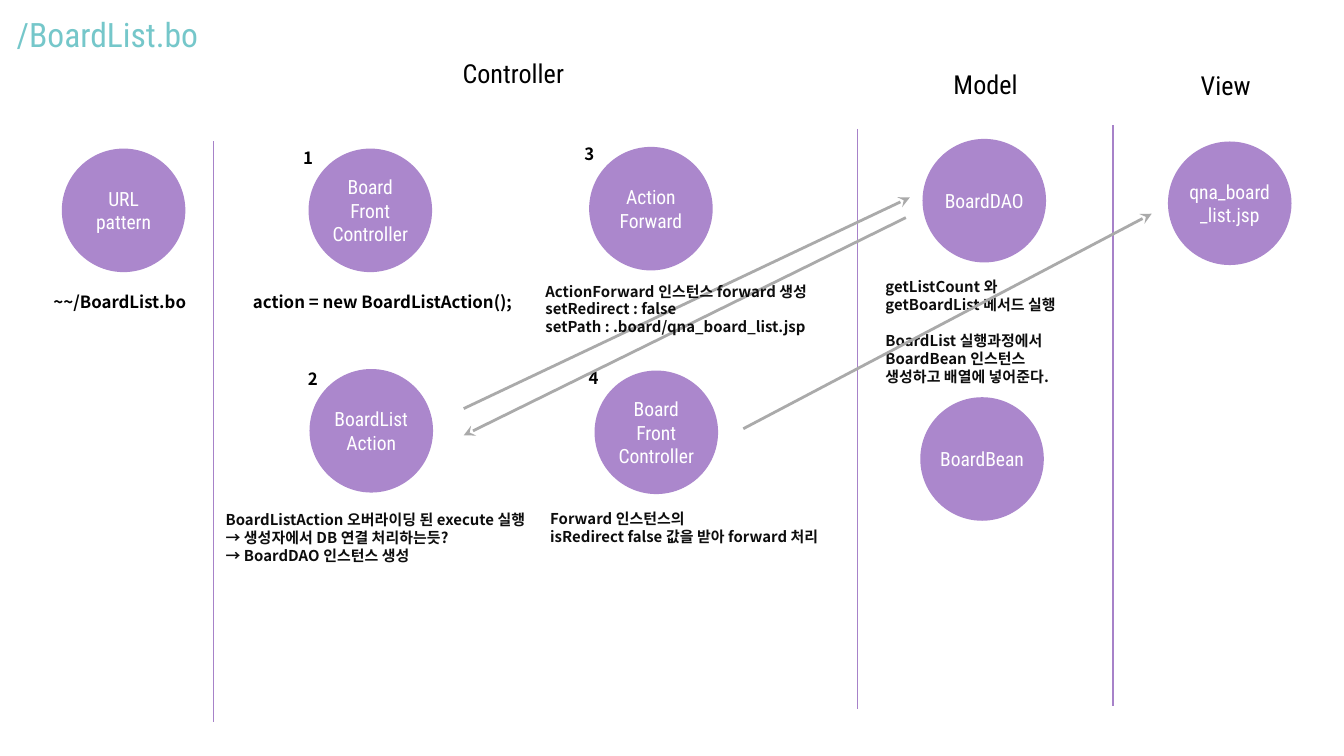
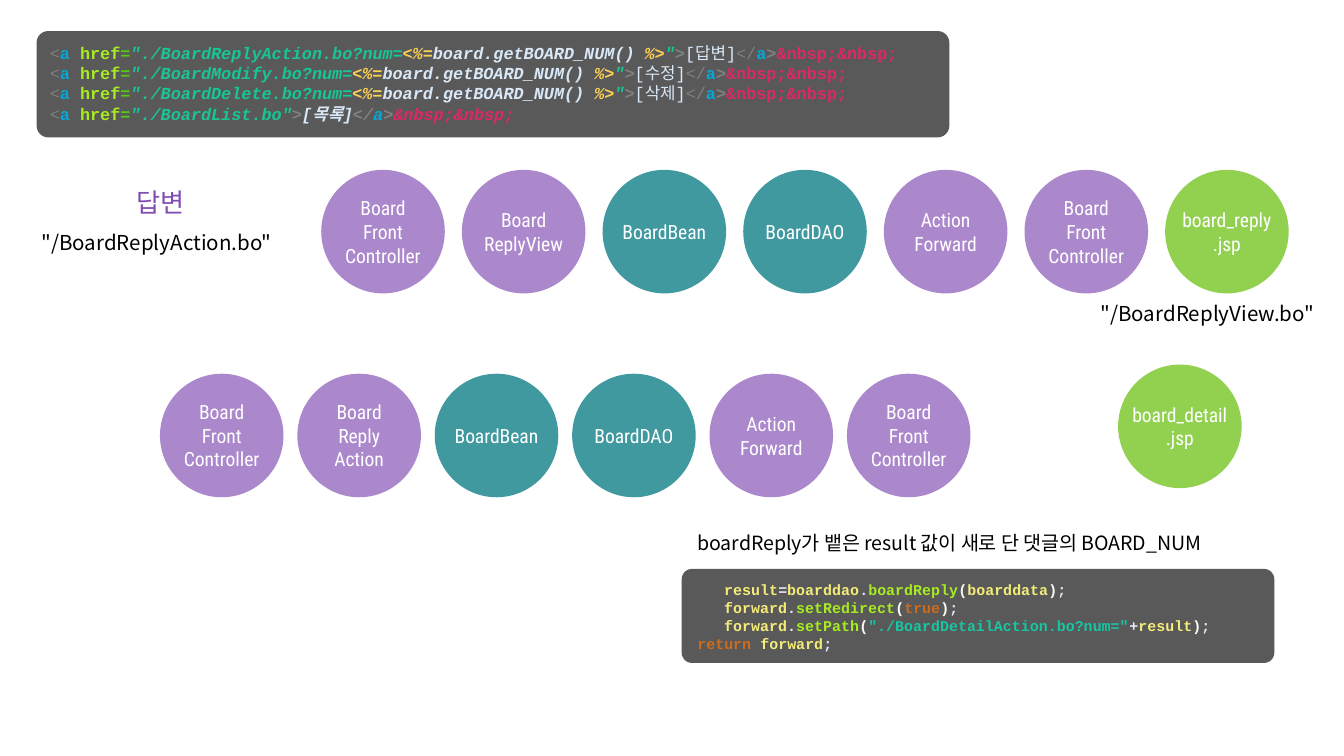
from dataclasses import dataclass

from lxml import etree
from pptx import Presentation
from pptx.dml.color import RGBColor
from pptx.enum import shapes, text
from pptx.oxml.ns import qn
from pptx.util import Pt


@dataclass(frozen=True)
class Theme:
    purple: str = "AB87CC"
    teal: str = "4199A0"
    green: str = "92D050"
    divider: str = "A782C9"
    arrow: str = "AAAAAA"
    panel: str = "595959"
    title: str = "75C7CA"
    reply: str = "814CB2"
    black: str = "000000"
    ink: str = "0D0D0D"
    white: str = "FFFFFF"
    latin: str = "Roboto Condensed"
    korean: str = "Noto Sans CJK KR"
    mono: str = "Courier New"
    title_size: float = 18
    heading_size: float = 14
    address_size: float = 11
    circle_size: float = 10.5
    label_size: float = 9
    note_size: float = 8
    leading: float = 1.2
    diameter: float = 66.2


THEME = Theme()

# Syntax colours: colour, bold, italic
MARKUP = {
    "edge": ("808080", False, False),
    "close": ("808080", True, False),
    "tag": ("03A8D8", True, False),
    "attribute": ("A7EC21", True, False),
    "equals": ("52CA11", True, False),
    "string": ("17C694", True, True),
    "script": ("FBD153", True, True),
    "call": ("D9E8F7", True, True),
    "quote_end": ("808080", True, True),
    "label": ("D9E8F7", False, False),
    "entity": ("DD2867", True, False),
    "tag_italic": ("03A8D8", True, True),
    "entity_italic": ("DD2867", True, True),
}
JAVA = {
    "name": ("F3EC79", True, False),
    "sign": ("E6E6FA", True, False),
    "method": ("A7EC21", True, False),
    "bracket": ("F9FAF4", True, False),
    "keyword": ("CC6C1D", True, False),
    "string": ("17C6A3", True, False),
}

FRONT = "Board\nFront\nController"
FORWARD = "Action\nForward"


def rgb(code):
    return RGBColor.from_string(code)


def format_paragraph(paragraph, size, face, color, bold=False, align=text.PP_ALIGN.LEFT):
    font = paragraph.font
    font.size, font.name, font.bold = Pt(size), face, bold
    font.color.rgb = rgb(color)
    etree.SubElement(font._rPr, qn("a:ea"), typeface=THEME.korean)
    paragraph.alignment = align
    paragraph.line_spacing = Pt(round(size * THEME.leading, 2))


def prepare_frame(frame, anchor=text.MSO_ANCHOR.TOP):
    frame.word_wrap = True
    frame.auto_size = text.MSO_AUTO_SIZE.NONE
    frame.vertical_anchor = anchor
    frame.margin_left = frame.margin_right = Pt(7.2)
    frame.margin_top = frame.margin_bottom = Pt(3.6)


def paragraphs(frame, count):
    return [frame.paragraphs[0]] + [frame.add_paragraph() for _ in range(count - 1)]


def add_title(slide, wording, box, size, face, color):
    title = slide.shapes.title
    title.left, title.top, title.width, title.height = map(Pt, box)
    prepare_frame(title.text_frame)
    title.text_frame.text = wording
    format_paragraph(title.text_frame.paragraphs[0], size, face, color,
                     align=text.PP_ALIGN.CENTER)


def add_text(slide, lines, box, size, face=THEME.korean, color=THEME.black, bold=False,
             align=text.PP_ALIGN.LEFT, anchor=text.MSO_ANCHOR.TOP):
    frame = slide.shapes.add_textbox(*map(Pt, box)).text_frame
    prepare_frame(frame, anchor)
    written = paragraphs(frame, len(lines))
    for paragraph, line in zip(written, lines):
        paragraph.text = line
        format_paragraph(paragraph, size, face, color, bold, align)
    return written


def add_heading(slide, wording, center, top):
    add_text(slide, [wording], (center - 55, top, 110, 24.5), THEME.heading_size,
             THEME.latin, align=text.PP_ALIGN.CENTER)


def add_label(slide, wording, left, top, width):
    add_text(slide, [wording], (left, top, width, 23.8), THEME.label_size, bold=True,
             anchor=text.MSO_ANCHOR.MIDDLE)


def add_note(slide, lines, *box):
    return add_text(slide, lines, box, THEME.note_size, color=THEME.ink, bold=True)


def add_filled(slide, kind, box, color):
    shape = slide.shapes.add_shape(kind, *map(Pt, box))
    shape.shadow.inherit = False
    shape.fill.solid()
    shape.fill.fore_color.rgb = rgb(color)
    shape.line.fill.background()
    return shape


def add_circle(slide, wording, left, top, color=THEME.purple):
    circle = add_filled(slide, shapes.MSO_SHAPE.OVAL,
                        (left, top, THEME.diameter, THEME.diameter), color)
    frame = circle.text_frame
    prepare_frame(frame, text.MSO_ANCHOR.MIDDLE)
    frame.word_wrap = False
    frame.margin_left = frame.margin_right = 0
    lines = wording.split("\n")
    for paragraph, line in zip(paragraphs(frame, len(lines)), lines):
        paragraph.text = line
        format_paragraph(paragraph, THEME.circle_size, THEME.latin, THEME.white,
                         align=text.PP_ALIGN.CENTER)


def add_circle_row(slide, circles, left, top, step):
    for place, (wording, color) in enumerate(circles):
        add_circle(slide, wording, left + place * step, top, color)


def add_line(slide, start, end, color, width, arrow=False):
    line = slide.shapes.add_connector(shapes.MSO_CONNECTOR.STRAIGHT,
                                      *map(Pt, (*start, *end)))
    line.line.color.rgb = rgb(color)
    line.line.width = Pt(width)
    if arrow:
        etree.SubElement(line.line._get_or_add_ln(), qn("a:tailEnd"), type="stealth")
    etree.SubElement(line._element.spPr, qn("a:effectLst"))


def add_code(slide, lines, panel, box, size, styles):
    """Draw a dark panel with code; each line is (indent in characters, tokens)."""
    background = add_filled(slide, shapes.MSO_SHAPE.ROUNDED_RECTANGLE, panel, THEME.panel)
    background.adjustments[0] = 0.11
    frame = slide.shapes.add_textbox(*map(Pt, box)).text_frame
    prepare_frame(frame)
    for paragraph, (indent, tokens) in zip(paragraphs(frame, len(lines)), lines):
        format_paragraph(paragraph, size, THEME.mono, THEME.white)
        paragraph._p.get_or_add_pPr().set("marL", str(Pt(indent * size * 0.6)))
        for style, wording in tokens:
            color, bold, italic = styles[style]
            run = paragraph.add_run()
            run.text = wording
            run.font.color.rgb = rgb(color)
            run.font.bold, run.font.italic = bold, italic


def link_start(address):
    return [("edge", "<"), ("tag", "a "), ("attribute", "href"), ("equals", "="),
            ("string", f'"./{address}')]


def numbered_link(address, label):
    return 0, link_start(f"{address}?num=") + [
        ("script", "<%="), ("call", "board.getBOARD_NUM() "), ("script", "%>"),
        ("string", '"'), ("quote_end", ">"), ("label", f"[{label}]"), ("edge", "</"),
        ("tag", "a"), ("close", ">"), ("entity", "&nbsp;&nbsp;")]


def list_link():
    return 0, link_start('BoardList.bo"') + [
        ("quote_end", ">"), ("call", "[목록]"), ("quote_end", "</"),
        ("tag_italic", "a"), ("quote_end", ">"), ("entity_italic", "&nbsp;&nbsp;")]


def forward_call(method, *arguments):
    return 3, [("name", "forward"), ("sign", "."), ("method", method), ("bracket", "("),
               *arguments, ("bracket", ")"), ("sign", ";")]


def build_list_flow(slide):
    add_title(slide, "/BoardList.bo", (0, 3.6, 115.2, 28.8), THEME.title_size,
              THEME.latin, THEME.title)
    for wording, center, top in (("Controller", 275, 27.4), ("Model", 528, 33.1),
                                 ("View", 656.6, 33.8)):
        add_heading(slide, wording, center, top)
    for x, top in ((114.5, 75.6), (459.4, 69.1), (596.2, 67)):
        add_line(slide, (x, top), (x, top + 311), THEME.divider, 0.75)

    for wording, left, top in (
            ("URL\vpattern", 33.1, 79.6), (FRONT, 165.3, 79.6),
            (FORWARD, 315.6, 78.7), ("BoardDAO", 494.2, 74.4),
            ("qna_board\v_list.jsp", 625.7, 75.8), ("BoardList\vAction", 165.8, 197.7),
            (FRONT, 318.5, 198.5), ("BoardBean", 493, 212.8)):
        add_circle(slide, wording, left, top)

    add_label(slide, "~~/BoardList.bo", 21.6, 149.8, 90.7)
    add_label(slide, "action = new BoardListAction();", 128.4, 149.8, 170)
    for number, left, top in (("1", 155.3, 72.9), ("2", 157.9, 191.3),
                              ("3", 306, 70.6), ("4", 308.3, 190.6)):
        add_label(slide, number, left, top, 20.5)

    model_note = add_note(slide, ["getListCount 와", "getBoardList 메서드 실행",
                                  "BoardList 실행과정에서 BoardBean 인스턴스 "
                                  "생성하고 배열에 넣어준다."], 467.3, 145.4, 119, 65.5)
    model_note[-1].space_before = Pt(THEME.note_size * THEME.leading)

    for start, end in (((248.4, 218.9), (487.4, 105.8)), ((485.3, 116.6), (248.4, 233.3)),
                       ((398.2, 229.7), (617, 114.5))):
        add_line(slide, start, end, THEME.arrow, 1.5, arrow=True)

    add_note(slide, ["BoardListAction 오버라이딩 된 execute 실행\v→ 생성자에서 DB 연결 처리하는듯?",
                     "→ BoardDAO 인스턴스 생성"], 113.8, 270, 185, 36)
    add_note(slide, ["Forward 인스턴스의", "isRedirect false 값을 받아 forward 처리"],
             287.7, 269.3, 163.4, 36)
    add_note(slide, ["ActionForward 인스턴스 forward 생성", "setRedirect : false",
                     "setPath : .board/qna_board_list.jsp"], 285.1, 147.6, 160.6, 36)


def build_reply_flow(slide):
    add_title(slide, "답변", (61.2, 96.5, 49.7, 24.5), THEME.heading_size,
              THEME.korean, THEME.reply)
    add_code(slide, [numbered_link("BoardReplyAction.bo", "답변"),
                     numbered_link("BoardModify.bo", "수정"),
                     numbered_link("BoardDelete.bo", "삭제"), list_link()],
             (19.6, 16.6, 489, 57), (19.6, 19.4, 530, 50.4), THEME.label_size, MARKUP)

    data_circles = [("BoardBean", THEME.teal), ("BoardDAO", THEME.teal)]
    last_circles = [(FORWARD, THEME.purple), (FRONT, THEME.purple)]
    add_circle_row(slide, [(FRONT, THEME.purple), ("Board\nReplyView", THEME.purple),
                           *data_circles, *last_circles,
                           ("board_reply\n.jsp", THEME.green)], 172.1, 91, 75.35)
    add_circle_row(slide, [(FRONT, THEME.purple), ("Board\nReply\nAction", THEME.purple),
                           *data_circles, *last_circles], 85.7, 200.2, 73.6)
    add_circle(slide, "board_detail\n.jsp", 599, 195.3, THEME.green)

    add_text(slide, ['"/BoardReplyAction.bo"'], (15.1, 119.5, 160.6, 20.9),
             THEME.address_size)
    add_text(slide, ['"/BoardReplyView.bo"'], (582.5, 157.7, 137.5, 20.9),
             THEME.address_size)
    add_text(slide, ["boardReply가 뱉은 result 값이 새로 단 댓글의 BOARD_NUM"],
             (366.5, 280.8, 332, 20.9), THEME.circle_size)

    add_code(slide, [
        (3, [("name", "result"), ("sign", "="), ("name", "boarddao"), ("sign", "."),
             ("method", "boardReply"), ("bracket", "("), ("name", "boarddata"),
             ("bracket", ")"), ("sign", ";")]),
        forward_call("setRedirect", ("keyword", "true")),
        forward_call("setPath", ("string", '"./BoardDetailAction.bo?num="'),
                     ("sign", "+"), ("name", "result")),
        (0, [("keyword", "return "), ("name", "forward"), ("sign", ";")]),
    ], (365.2, 304.8, 317.5, 50.4), (366.5, 307.4, 317.5, 45.6), THEME.note_size, JAVA)


def main():
    deck = Presentation()
    deck.slide_width, deck.slide_height = Pt(720), Pt(405)
    title_only = deck.slide_layouts[5]
    for build in (build_list_flow, build_reply_flow):
        build(deck.slides.add_slide(title_only))
    deck.save("out.pptx")


if __name__ == "__main__":
    main()
